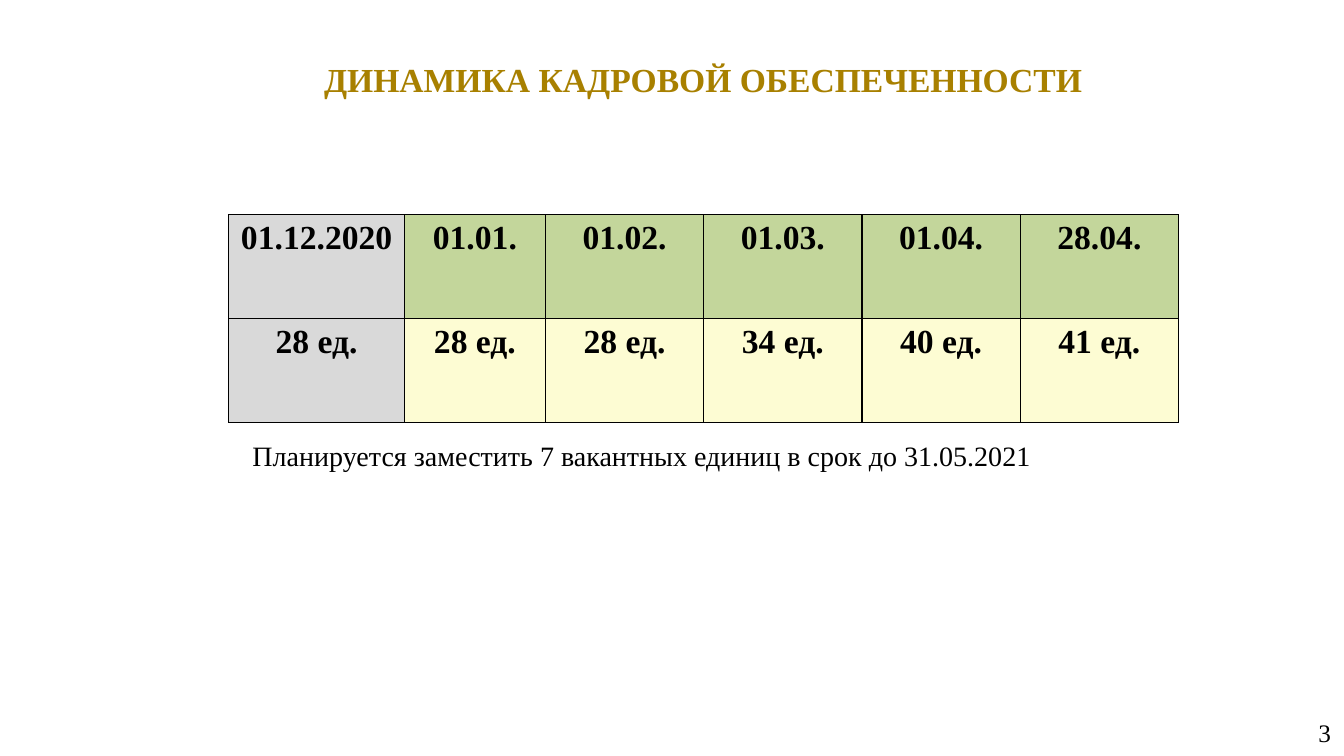
from pptx import Presentation
from pptx.dml.color import RGBColor
from pptx.enum.text import MSO_ANCHOR as Anchor, MSO_AUTO_SIZE as AutoSize, PP_ALIGN as Align
from pptx.oxml import parse_xml
from pptx.oxml.ns import nsdecls
from pptx.util import Inches, Pt

FONT = "Times New Roman"
BLACK, GOLD, GREY, GREEN, CREAM = "000000", "A88000", "D9D9D9", "C3D69B", "FDFCD3"
STAFFING = [
    ("01.12.2020", "28 ед."),
    ("01.01.", "28 ед."),
    ("01.02.", "28 ед."),
    ("01.03.", "34 ед."),
    ("01.04.", "40 ед."),
    ("28.04.", "41 ед."),
]
COLUMN_WIDTHS = [1.74, 1.4] + [1.57] * 4
ROW_HEIGHT = 1.03


def color(value):
    return RGBColor.from_string(value)


def format_text(text_frame, size, align, bold=False, text_color=BLACK):
    for paragraph in text_frame.paragraphs:
        paragraph.alignment = align
        for run in paragraph.runs:
            font = run.font
            font.name, font.size, font.bold = FONT, Pt(size), bold
            font.color.rgb = color(text_color)


def place_text(shape, box, text, anchor):
    """Put the shape in its box (left, top, width, height) and set its text."""
    shape.left, shape.top, shape.width, shape.height = map(Inches, box)
    frame = shape.text_frame
    frame.text = text
    frame.word_wrap = True
    frame.auto_size = AutoSize.NONE
    frame.vertical_anchor = anchor
    frame.margin_left = frame.margin_right = Inches(0.13)
    frame.margin_top = frame.margin_bottom = Inches(0.07)
    return frame


def add_title(slide, box):
    frame = place_text(slide.shapes.title, box,
                       "ДИНАМИКА КАДРОВОЙ ОБЕСПЕЧЕННОСТИ", Anchor.TOP)
    format_text(frame, 24, Align.CENTER, bold=True, text_color=GOLD)
    frame.paragraphs[0].runs[0].font.size = Pt(24)


def add_label(slide, box, text, size, align):
    shape = slide.shapes.add_textbox(*map(Inches, box))
    format_text(place_text(shape, box, text, Anchor.MIDDLE), size, align)


def add_cell_borders(cell):
    properties = cell._tc.get_or_add_tcPr()
    for position, side in enumerate(("lnL", "lnR", "lnT", "lnB")):
        properties.insert(position, parse_xml(
            f'<a:{side} {nsdecls("a")} w="{Pt(0.96)}"><a:solidFill>'
            f'<a:srgbClr val="{BLACK}"/></a:solidFill></a:{side}>'))


def add_staffing_table(slide, left, top):
    table = slide.shapes.add_table(
        2, len(STAFFING), Inches(left), Inches(top),
        Inches(sum(COLUMN_WIDTHS)), Inches(2 * ROW_HEIGHT)).table
    for row in table.rows:
        row.height = Inches(ROW_HEIGHT)
    for column, entry in enumerate(STAFFING):
        table.columns[column].width = Inches(COLUMN_WIDTHS[column])
        fills = (GREY, GREY) if column == 0 else (GREEN, CREAM)
        for row, (text, fill) in enumerate(zip(entry, fills)):
            cell = table.cell(row, column)
            cell.text_frame.text = text
            cell.fill.solid()
            cell.fill.fore_color.rgb = color(fill)
            format_text(cell.text_frame, 24, Align.CENTER, bold=True)
            add_cell_borders(cell)


def main():
    presentation = Presentation()
    presentation.slide_width, presentation.slide_height = Inches(13.33), Inches(7.5)
    slide = presentation.slides.add_slide(presentation.slide_layouts[5])
    add_title(slide, (1.65, 0.51, 10.65, 0.53))
    add_staffing_table(slide, 2.27, 2.13)
    add_label(slide, (0.63, 4.14, 11.47, 0.76),
              "Планируется заместить 7 вакантных единиц в срок до 31.05.2021",
              20, Align.CENTER)
    add_label(slide, (10.22, 7.07, 3.11, 0.4), "3", 18, Align.RIGHT)
    presentation.save("out.pptx")


if __name__ == "__main__":
    main()
